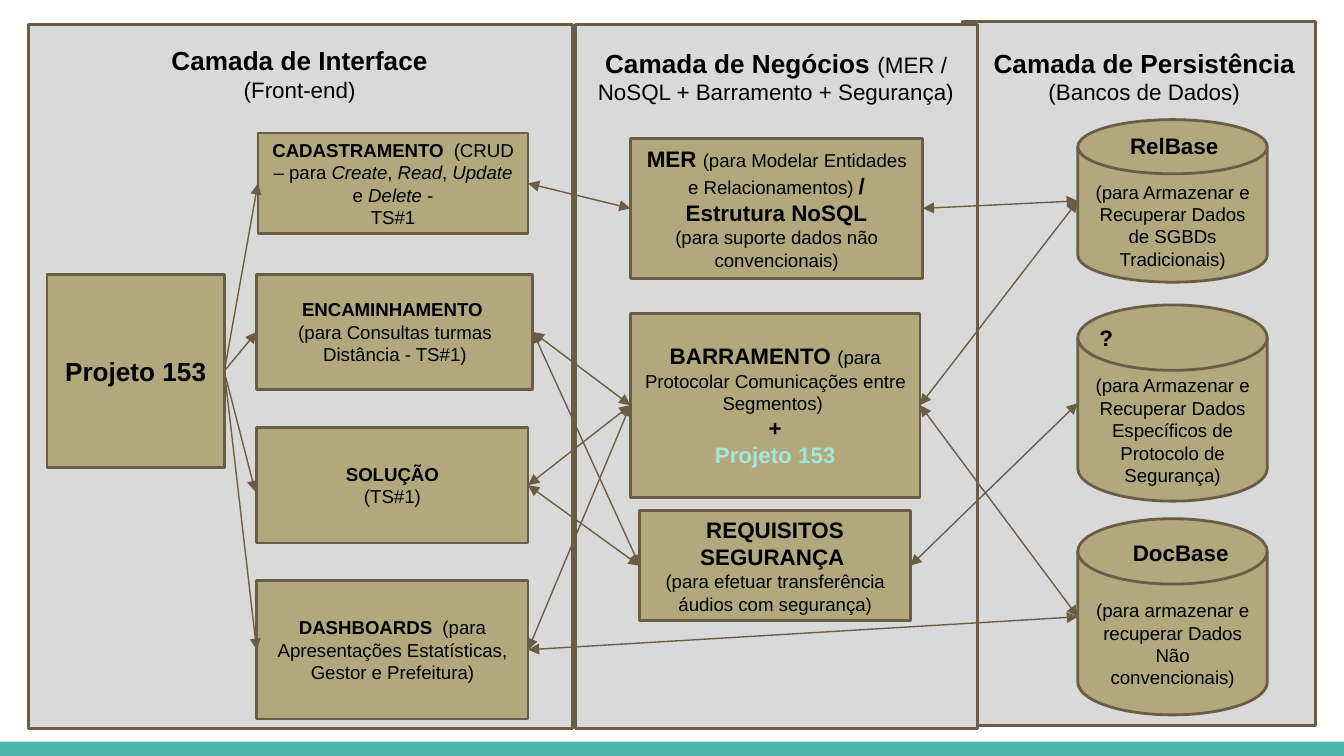
"""Build the three-layer architecture slide of Projeto 153."""
from dataclasses import dataclass
from typing import NamedTuple

from lxml import etree
from pptx import Presentation
from pptx.dml.color import RGBColor
from pptx.enum.shapes import MSO_CONNECTOR, MSO_SHAPE
from pptx.enum.text import MSO_ANCHOR, PP_ALIGN
from pptx.oxml.ns import qn
from pptx.util import Pt

RECTANGLE, DISK = MSO_SHAPE.RECTANGLE, MSO_SHAPE.FLOWCHART_MAGNETIC_DISK
STRAIGHT = MSO_CONNECTOR.STRAIGHT
TOP, MIDDLE = MSO_ANCHOR.TOP, MSO_ANCHOR.MIDDLE
LEFT, CENTER = PP_ALIGN.LEFT, PP_ALIGN.CENTER
LEFT_SIDE, RIGHT_SIDE = 1, 3


@dataclass(frozen=True)
class Theme:
    font: str = "Arial"
    ink: str = "000000"
    accent: str = "A1E8D9"
    footer: str = "4DB6AC"
    panel: str = "D9D9D9"
    block: str = "B3A77D"
    outline: str = "695D46"
    heading: float = 14
    strong: float = 12
    body: float = 10
    border: float = 1.5
    link: float = 0.75
    inset: float = 7.2
    label_inset: float = 3.6
    disk_inset: float = 18.7


THEME = Theme()


class Box(NamedTuple):
    left: float
    top: float
    width: float
    height: float

    def side(self, site: int) -> tuple[float, float]:
        return self.left + (self.width if site == RIGHT_SIDE else 0), self.top + self.height / 2


class Span(NamedTuple):
    text: str
    size: float = THEME.body
    bold: bool = False
    italic: bool = False
    color: str = THEME.ink


class Block(NamedTuple):
    box: Box
    paragraphs: list[list[Span]]
    kind: MSO_SHAPE = RECTANGLE


class Link(NamedTuple):
    start: str
    end: str
    two_way: bool = True


def strong(text: str, size: float = THEME.strong, color: str = THEME.ink) -> Span:
    return Span(text, size, True, color=color)


def italic(text: str) -> Span:
    return Span(text, italic=True)


def write(frame, paragraphs, anchor=MIDDLE, align=CENTER, top=THEME.inset, bottom=THEME.inset) -> None:
    frame_format = {
        "word_wrap": True, "vertical_anchor": anchor,
        "margin_left": Pt(THEME.inset), "margin_right": Pt(THEME.inset),
        "margin_top": Pt(top), "margin_bottom": Pt(bottom),
    }
    for name, value in frame_format.items():
        setattr(frame, name, value)
    for index, spans in enumerate(paragraphs):
        paragraph = frame.add_paragraph() if index else frame.paragraphs[0]
        paragraph.alignment = align
        for span in spans:
            run = paragraph.add_run()
            run.text = span.text
            font_format = {"name": THEME.font, "size": Pt(span.size), "bold": span.bold, "italic": span.italic}
            for name, value in font_format.items():
                setattr(run.font, name, value)
            run.font.color.rgb = RGBColor.from_string(span.color)


def draw_shape(slide, box: Box, fill: str, kind=RECTANGLE, outlined: bool = True):
    shape = slide.shapes.add_shape(kind, *map(Pt, box))
    shape.shadow.inherit = False
    shape.fill.solid()
    shape.fill.fore_color.rgb = RGBColor.from_string(fill)
    if outlined:
        shape.line.color.rgb = RGBColor.from_string(THEME.outline)
        shape.line.width = Pt(THEME.border)
    else:
        shape.line.fill.background()
    return shape


def draw_block(slide, block: Block):
    shape = draw_shape(slide, block.box, THEME.block, block.kind)
    write(shape.text_frame, block.paragraphs, top=THEME.disk_inset if block.kind == DISK else THEME.inset)
    return shape


def draw_arrow(slide, start: tuple[float, float], end: tuple[float, float], two_way: bool):
    arrow = slide.shapes.add_connector(STRAIGHT, *map(Pt, (*start, *end)))
    arrow.line.color.rgb = RGBColor.from_string(THEME.outline)
    arrow.line.width = Pt(THEME.link)
    properties = arrow.element.spPr
    for tag in ("a:headEnd", "a:tailEnd") if two_way else ("a:tailEnd",):
        etree.SubElement(properties.find(qn("a:ln")), qn(tag), type="triangle")
    etree.SubElement(properties, qn("a:effectLst"))
    return arrow


def draw_link(slide, link: Link, shapes: dict) -> None:
    source, target = BLOCKS[link.start], BLOCKS[link.end]
    arrow = draw_arrow(slide, source.box.side(RIGHT_SIDE), target.box.side(LEFT_SIDE), link.two_way)
    arrow.begin_connect(shapes[link.start], RIGHT_SIDE)
    if target.kind == RECTANGLE:
        arrow.end_connect(shapes[link.end], LEFT_SIDE)


FOOTER = Box(0, 397.4, 720, 7.6)
PANELS = [Box(15.1, 13, 291.6, 377.3), Box(515.5, 11.5, 189.4, 377.3), Box(308.2, 13, 215.3, 377.3)]
HEADINGS = [
    (Box(72.7, 16.6, 175.7, 43.2), "Camada de Interface ", "(Front-end)"),
    (Box(312.5, 18, 206.6, 42.5), "Camada de Negócios ", "(MER / NoSQL + Barramento + Segurança)"),
    (Box(523.4, 18, 179.3, 44.6), "Camada de Persistência ", "(Bancos de Dados)"),
]
BLOCKS = {
    "projeto": Block(Box(25.2, 146.9, 95, 103.7), [[strong("Projeto 153", THEME.heading)]]),
    "encaminhamento": Block(Box(137.5, 146.9, 148, 61.9), [
        [strong("ENCAMINHAMENTO ", THEME.body)], [Span("(para Consultas turmas Distância - TS#1)")]]),
    "cadastramento": Block(Box(138.2, 71.3, 144.7, 54), [
        [strong("CADASTRAMENTO ", THEME.body), Span(" (CRUD – para "), italic("Create"), Span(", "),
         italic("Read"), Span(", "), italic("Update"), Span(" e "), italic("Delete"), Span(" -")],
        [Span("TS#1")]]),
    "solucao": Block(Box(137.5, 229, 145.4, 61.9), [[strong("SOLUÇÃO", THEME.body)], [Span("(TS#1)")]]),
    "dashboards": Block(Box(137.5, 311, 145.4, 74.2), [
        [strong("DASHBOARDS ", THEME.body), Span(" (para Apresentações Estatísticas, Gestor e Prefeitura)")]]),
    "barramento": Block(Box(337.7, 167.8, 155.2, 98.6), [
        [strong("BARRAMENTO "), Span("(para Protocolar Comunicações entre Segmentos) ")],
        [strong("+")], [strong("Projeto 153", color=THEME.accent)]]),
    "mer": Block(Box(337.7, 74.2, 156.7, 74.9), [
        [strong("MER "), Span("(para Modelar Entidades e Relacionamentos) "), strong("/ Estrutura NoSQL")],
        [Span("(para suporte dados não convencionais)")]]),
    "requisitos": Block(Box(342.7, 273.6, 145, 59), [
        [strong("REQUISITOS SEGURANÇA ")], [Span("(para efetuar transferência áudios com segurança)")]]),
    "relacional": Block(Box(577.4, 64.1, 101.5, 87.1), [
        [Span("(para Armazenar e Recuperar Dados de SGBDs Tradicionais)")]], DISK),
    "protocolo": Block(Box(577.4, 163.4, 101.5, 105.1), [
        [Span("(para Armazenar e Recuperar Dados Específicos de Protocolo de Segurança)")]], DISK),
    "documentos": Block(Box(577.4, 277.9, 101.5, 105.1), [
        [Span("(para armazenar e recuperar Dados Não convencionais)")]], DISK),
}
LINKS = [
    *(Link("projeto", target, False) for target in ("dashboards", "cadastramento", "encaminhamento")),
    *(Link(source, "barramento") for source in ("encaminhamento", "solucao", "dashboards")),
    *(Link(source, "requisitos") for source in ("encaminhamento", "solucao")),
    *(Link("barramento", target) for target in ("relacional", "documentos")),
    Link("cadastramento", "mer"), Link("mer", "relacional"),
    Link("dashboards", "documentos"), Link("requisitos", "protocolo"),
]
SOLUTION_ARROW = ((121, 202.3), (136.8, 263.5))
DISK_LABELS = [
    (Box(598.3, 67, 67, 21.6), "RelBase"),
    (Box(581.8, 169.9, 82.8, 21.6), "?"),
    (Box(599.8, 285.1, 72, 21.6), "DocBase"),
]


def main() -> None:
    deck = Presentation()
    deck.slide_width, deck.slide_height = Pt(720), Pt(405)
    slide = deck.slides.add_slide(deck.slide_layouts[6])
    draw_shape(slide, FOOTER, THEME.footer, outlined=False)
    for panel in PANELS:
        draw_shape(slide, panel, THEME.panel)
    for box, layer, detail in HEADINGS:
        heading = slide.shapes.add_textbox(*map(Pt, box))
        write(heading.text_frame, [[strong(layer, THEME.heading), Span(detail, THEME.strong)]], TOP)
    shapes = {name: draw_block(slide, block) for name, block in BLOCKS.items()}
    for link in LINKS:
        draw_link(slide, link, shapes)
    draw_arrow(slide, *SOLUTION_ARROW, two_way=False)
    for box, database in DISK_LABELS:
        label = slide.shapes.add_textbox(*map(Pt, box))
        write(label.text_frame, [[strong(database)]], TOP, LEFT, THEME.label_inset, THEME.label_inset)
    deck.save("out.pptx")


if __name__ == "__main__":
    main()
